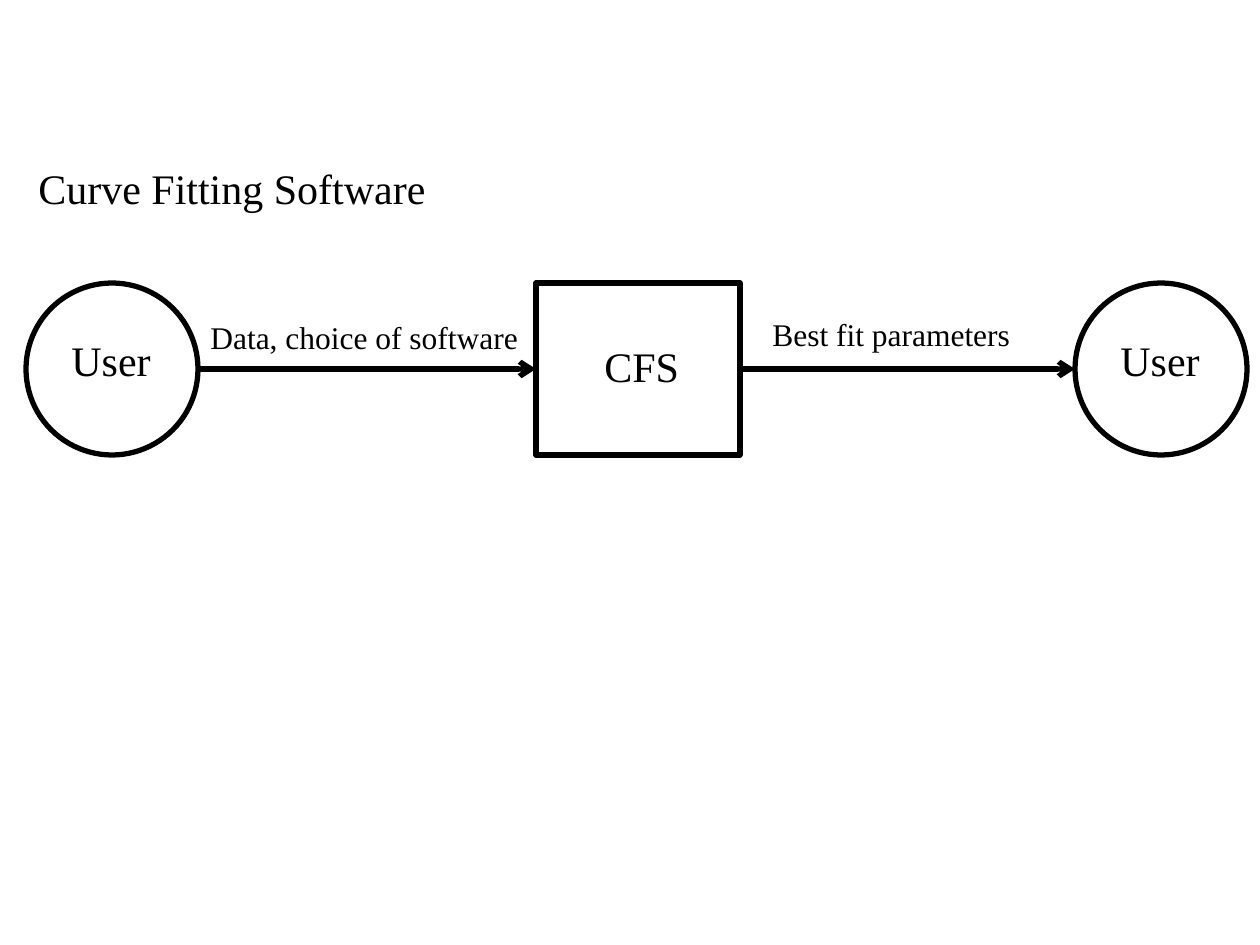
from dataclasses import dataclass

from pptx import Presentation
from pptx.dml.color import RGBColor
from pptx.enum.shapes import MSO_CONNECTOR, MSO_SHAPE
from pptx.enum.text import MSO_AUTO_SIZE
from pptx.oxml.ns import qn
from pptx.util import Pt
from lxml import etree

ELLIPSE = MSO_SHAPE.OVAL
RECTANGLE = MSO_SHAPE.RECTANGLE
STRAIGHT = MSO_CONNECTOR.STRAIGHT
FIT_SHAPE = MSO_AUTO_SIZE.SHAPE_TO_FIT_TEXT
EMU_PER_PX = 914400 / 126
LEFT_SIDE, RIGHT_SIDE = 1, 3


@dataclass(frozen=True)
class Theme:
    ink: RGBColor = RGBColor(0, 0, 0)
    font: str = "Times New Roman"
    heading_size: int = 24
    label_size: int = 18
    line_width: int = 3


def px(value):
    return round(value * EMU_PER_PX)


def write_text(text_frame, text, *, size, font, color):
    text_frame.word_wrap = False
    text_frame.auto_size = FIT_SHAPE
    run = text_frame.paragraphs[0].add_run()
    run.text = text
    run.font.size = Pt(size)
    run.font.name = font
    run.font.color.rgb = color


class DiagramBuilder:
    def __init__(self, slide, theme):
        self.slide = slide
        self.theme = theme

    def style_line(self, line):
        line.color.rgb = self.theme.ink
        line.width = Pt(self.theme.line_width)

    def text(self, text, left, top, width, height, size):
        box = self.slide.shapes.add_textbox(px(left), px(top), px(width), px(height))
        write_text(box.text_frame, text, size=size, font=self.theme.font, color=self.theme.ink)

    def outline(self, kind, left, top, width, height):
        shape = self.slide.shapes.add_shape(kind, px(left), px(top), px(width), px(height))
        shape.shadow.inherit = False
        shape.fill.background()
        self.style_line(shape.line)
        return shape

    def user(self, left, top, diameter):
        circle = self.outline(ELLIPSE, left, top, diameter, diameter)
        self.text("User", left + 33, top + 45, 105, 63, self.theme.heading_size)
        return circle

    def process(self, text, left, top, width, height):
        rectangle = self.outline(RECTANGLE, left, top, width, height)
        self.text(text, left + 56, top + 51, 101, 63, self.theme.heading_size)
        return rectangle

    def arrow(self, source, target):
        middle = source.top + source.height // 2
        connector = self.slide.shapes.add_connector(
            STRAIGHT, source.left + source.width, middle, target.left, middle
        )
        if source.auto_shape_type == RECTANGLE:
            connector.begin_connect(source, RIGHT_SIDE)
        if target.auto_shape_type == RECTANGLE:
            connector.end_connect(target, LEFT_SIDE)
        self.style_line(connector.line)
        properties = connector._element.spPr
        etree.SubElement(properties.find(qn("a:ln")), qn("a:tailEnd"), type="arrow")
        etree.SubElement(properties, qn("a:effectLst"))


def main():
    presentation = Presentation()
    presentation.slide_width, presentation.slide_height = px(1260), px(945)
    slide = presentation.slides.add_slide(presentation.slide_layouts[6])
    theme = Theme()
    builder = DiagramBuilder(slide, theme)

    row_top, row_height = 283, 172
    sender = builder.user(26, row_top, row_height)
    receiver = builder.user(1075, row_top, row_height)
    software = builder.process("CFS", 536, row_top, 204, row_height)
    builder.arrow(sender, software)
    builder.arrow(software, receiver)

    builder.text("Curve Fitting Software", 26, 156, 417, 63, theme.heading_size)
    builder.text("Data, choice of software", 198, 312, 336, 50, theme.label_size)
    builder.text("Best fit parameters", 760, 309, 266, 50, theme.label_size)
    presentation.save("out.pptx")


if __name__ == "__main__":
    main()
